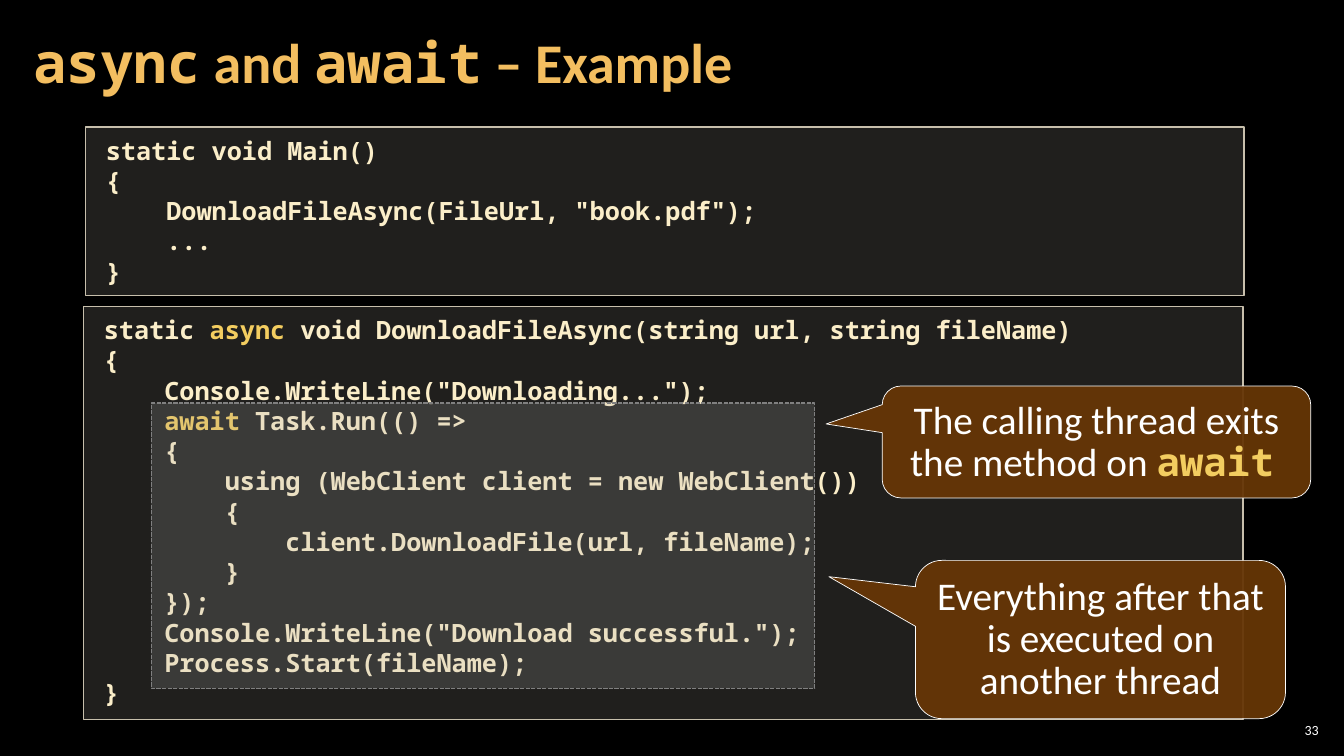
from lxml import etree
from pptx import Presentation
from pptx import util as u
from pptx.dml.color import RGBColor
from pptx.enum import dml, shapes, text
from pptx.oxml.ns import qn

COLORS = {
    "back": "000000", "white": "FFFFFF", "title": "F3BE60",
    "code": "FBEEC9", "key": "F3CD60", "panel": "D9D5C7",
    "edge": "C7BFAC", "mark": "A6A6A6", "dash": "808080", "note": "663606",
}
SANS, MONO = "Calibri", "Noto Sans Mono"
KEYS = ("async", "await")

MAIN = '''static void Main()
{
    DownloadFileAsync(FileUrl, "book.pdf");
    ...
}'''

LOAD = '''static async void DownloadFileAsync(string url, string fileName)
{
    Console.WriteLine("Downloading...");
    await Task.Run(() =>
    {
        using (WebClient client = new WebClient())
        {
            client.DownloadFile(url, fileName);
        }
    });
    Console.WriteLine("Download successful.");
    Process.Start(fileName);
}'''


def color(name):
    return RGBColor.from_string(COLORS[name])


def split(line):
    """Cut a line into (text, is keyword) parts at its first keyword."""
    for key in KEYS:
        if key in line:
            head, tail = line.split(key, 1)
            return [p for p in ((head, False), (key, True), (tail, False)) if p[0]]
    return [(line, False)]


def add_run(para, words, font, size, tint, bold=False):
    run = para.add_run()
    run.text = words
    run.font.name, run.font.size, run.font.bold = font, u.Pt(size), bold
    run.font.color.rgb = color(tint)


def set_frame(frame, pad_x, pad_y, anchor):
    frame.word_wrap = True
    frame.margin_left = frame.margin_right = u.Inches(pad_x)
    frame.margin_top = frame.margin_bottom = u.Inches(pad_y)
    frame.vertical_anchor = anchor


def add_label(slide, box, pad_x):
    label = slide.shapes.add_textbox(*map(u.Inches, box))
    set_frame(label.text_frame, pad_x, 0.04, text.MSO_ANCHOR.MIDDLE)
    return label.text_frame.paragraphs[0]


def add_block(slide, kind, box, fill, alpha, line, width):
    block = slide.shapes.add_shape(kind, *map(u.Inches, box))
    block.shadow.inherit = False
    block.fill.solid()
    block.fill.fore_color.rgb = color(fill)
    tone = block.fill._xPr.find(qn("a:solidFill"))[0]
    etree.SubElement(tone, qn("a:alpha"), val=str(alpha * 1000))
    block.line.color.rgb = color(line)
    block.line.width = u.Pt(width)
    return block


def add_code(slide, box, code):
    panel = add_block(slide, shapes.MSO_SHAPE.RECTANGLE, box, "panel", 15, "edge", 1)
    frame = panel.text_frame
    set_frame(frame, 0, 0.08, text.MSO_ANCHOR.TOP)
    for i, line in enumerate(code.split("\n")):
        para = frame.add_paragraph() if i else frame.paragraphs[0]
        para.alignment = text.PP_ALIGN.LEFT
        para.line_spacing = u.Pt(21.6)
        para._p.get_or_add_pPr().set("marL", str(u.Inches(0.2)))
        for words, key in split(line):
            add_run(para, words, MONO, 18, "key" if key else "code", True)


def add_note(slide, box, tip, words):
    kind = shapes.MSO_SHAPE.ROUNDED_RECTANGULAR_CALLOUT
    note = add_block(slide, kind, box, "note", 95, "white", 0.5)
    for i, value in enumerate((*tip, 0.167)):
        note.adjustments[i] = value
    set_frame(note.text_frame, 0.1, 0.08, text.MSO_ANCHOR.MIDDLE)
    para = note.text_frame.paragraphs[0]
    para.alignment = text.PP_ALIGN.CENTER
    para.line_spacing = u.Pt(30)
    for part, key in split(words):
        add_run(para, part, MONO if key else SANS, 28, "key" if key else "white", key)


def main():
    deck = Presentation()
    deck.slide_width, deck.slide_height = u.Inches(13.33), u.Inches(7.5)
    slide = deck.slides.add_slide(deck.slide_layouts[6])
    slide.background.fill.solid()
    slide.background.fill.fore_color.rgb = color("back")

    # Page number and title
    page = add_label(slide, (12.65, 7.14, 0.47, 0.21), 0.04)
    page.alignment = text.PP_ALIGN.RIGHT
    add_run(page, "33", SANS, 10, "white")
    title = add_label(slide, (0.21, 0.04, 10.47, 1.21), 0.12)
    title.line_spacing = 0.9
    for words, font in (("async", MONO), (" and ", SANS),
                        ("await", MONO), (" – Example", SANS)):
        add_run(title, words, font, 40, "title", True)

    # Code panels
    add_code(slide, (0.85, 1.26, 11.49, 1.67), MAIN)
    add_code(slide, (0.83, 3.04, 11.5, 4.1), LOAD)

    # Dashed area over the awaited code
    area = add_block(slide, shapes.MSO_SHAPE.RECTANGLE, (1.5, 4, 6.58, 2.83),
                     "mark", 20, "dash", 1)
    area.line.dash_style = dml.MSO_LINE.SQUARE_DOT

    # Callouts
    add_note(slide, (8.75, 3.83, 4.25, 1.11), (-0.631, -0.161),
             "The calling thread exits the method on await ")
    add_note(slide, (9.08, 5.56, 3.67, 1.57), (-0.734, -0.397),
             "Everything after that is executed on another thread")

    deck.save("out.pptx")


if __name__ == "__main__":
    main()
